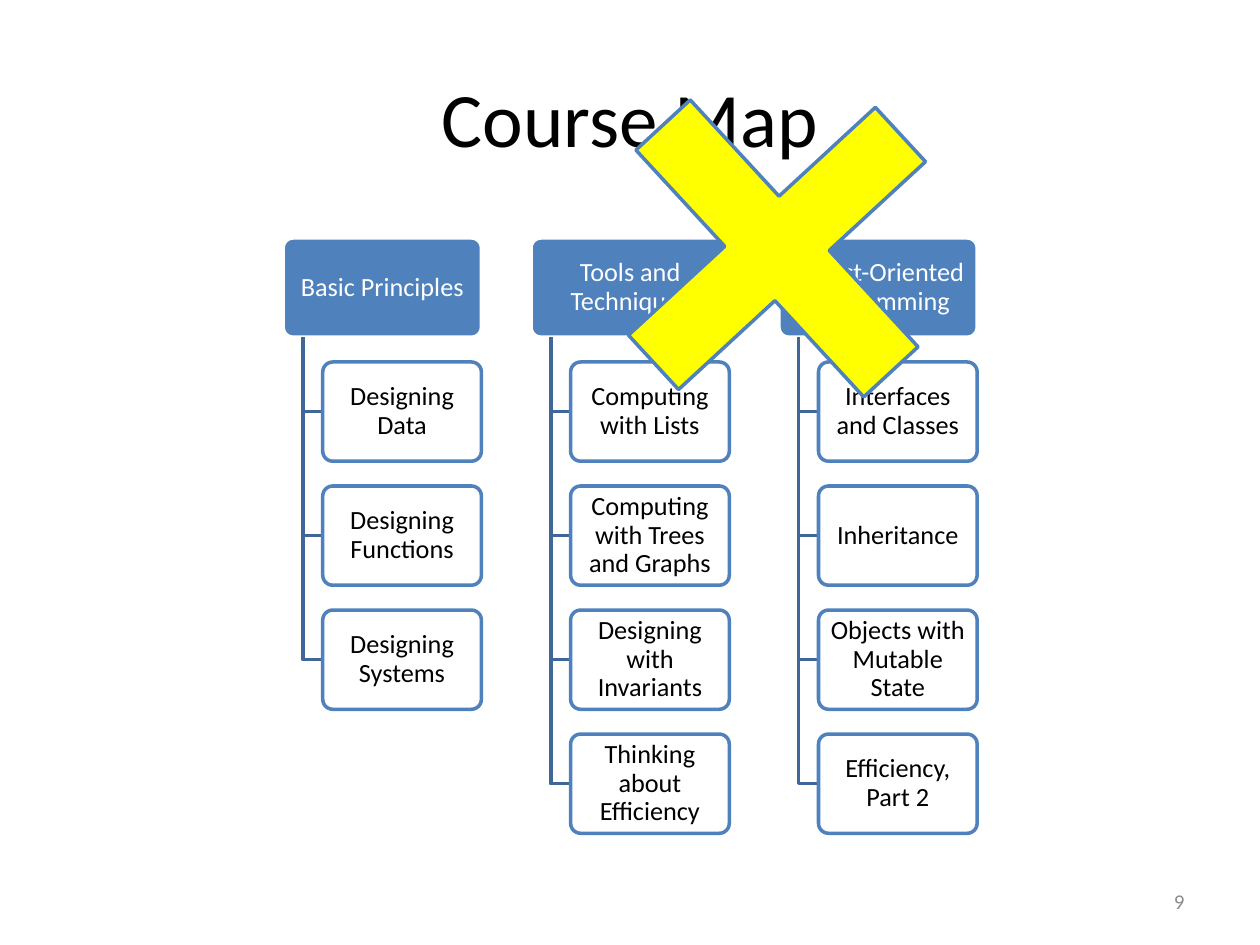
from lxml import etree
from pptx import Presentation
from pptx.dml.color import RGBColor
from pptx.enum.shapes import MSO_SHAPE
from pptx.enum.text import MSO_ANCHOR, PP_ALIGN
from pptx.oxml.ns import qn
from pptx.util import Pt

ROUNDED, CROSS = MSO_SHAPE.ROUNDED_RECTANGLE, MSO_SHAPE.CROSS
MIDDLE = MSO_ANCHOR.MIDDLE
CENTER, RIGHT = PP_ALIGN.CENTER, PP_ALIGN.RIGHT

COLORS = {"blue": "4F81BD", "dark_blue": "3F6797", "white": "FFFFFF",
          "black": "000000", "gray": "8C8C8C", "yellow": "FFFF00"}
FONT = "Calibri"
LINE_WIDTH = 2

COURSE = {
    "Basic Principles": ["Designing Data", "Designing Functions", "Designing Systems"],
    "Tools and Techniques": ["Computing with Lists", "Computing with Trees and Graphs",
                             "Designing with Invariants", "Thinking about Efficiency"],
    "Object-Oriented Programming": ["Interfaces and Classes", "Inheritance",
                                    "Objects with Mutable State", "Efficiency, Part 2"],
}


def rgb(name):
    return RGBColor.from_string(COLORS[name])


def points(box):
    return [Pt(value) for value in box]


def write(shape, text, size, color, align=CENTER, spacing=1.0, margins=(7.2, 3.6)):
    side, edge = points(margins)
    frame = shape.text_frame
    frame_format = {"word_wrap": True, "vertical_anchor": MIDDLE, "margin_left": side,
                    "margin_right": side, "margin_top": edge, "margin_bottom": edge}
    for name, value in frame_format.items():
        setattr(frame, name, value)
    para = frame.paragraphs[0]
    para.alignment = align
    para.line_spacing = spacing
    span = para.add_run()
    span.text = text
    for name, value in {"name": FONT, "size": Pt(size)}.items():
        setattr(span.font, name, value)
    span.font.color.rgb = rgb(color)


def add_label(page, box, text, size, color, align):
    write(page.shapes.add_textbox(*points(box)), text, size, color, align)


def outline(shape, color):
    shape.shadow.inherit = False
    shape.line.color.rgb = rgb(color)
    shape.line.width = Pt(LINE_WIDTH)


def add_filled(page, kind, box, adjustment, fill, line):
    shape = page.shapes.add_shape(kind, *points(box))
    shape.adjustments[0] = adjustment
    shape.fill.solid()
    shape.fill.fore_color.rgb = rgb(fill)
    outline(shape, line)
    return shape


def add_card(page, box, text, fill, line, color):
    card = add_filled(page, ROUNDED, box, 0.1, fill, line)
    write(card, text, 15, color, spacing=0.9, margins=(2.2, 1.5))
    return card


def add_elbow(page, left, top, right, bottom):
    left, top, right, bottom = points((left, top, right, bottom))
    builder = page.shapes.build_freeform(left, top)
    builder.add_line_segments([(left, bottom), (right, bottom)], close=False)
    elbow = builder.convert_to_shape()
    elbow.fill.background()
    outline(elbow, "dark_blue")


def add_branch(page, box, heading, topics):
    """One heading with its topics hung below it on elbow lines."""
    left, top, width, height = box
    stem = left + width * 0.1
    topic_left, topic_width = left + width * 0.2, width * 0.8
    pitch = height * 1.25
    add_card(page, box, heading, "blue", "white", "white")
    for row, topic in enumerate(topics, start=1):
        topic_top = top + row * pitch
        add_elbow(page, stem, top + height, topic_left, topic_top + height / 2)
        card = add_card(page, (topic_left, topic_top, topic_width, height),
                        topic, "white", "blue", "black")
        fill_color = card.fill._xPr.find(qn("a:solidFill"))[0]
        etree.SubElement(fill_color, qn("a:alpha"), val="90000")


def add_course_map(page, box):
    """Equal columns, each parted by a quarter of a heading's width."""
    left, top, width, height = box
    count = len(COURSE)
    column_width = width / (count + (count - 1) * 0.25)
    for column, (heading, topics) in enumerate(COURSE.items()):
        column_left = left + column * column_width * 1.25
        add_branch(page, (column_left, top, column_width, height), heading, topics)


def add_cross_mark(page, box):
    mark = add_filled(page, CROSS, box, 0.39, "yellow", "blue")
    mark.rotation = 47.3


def main():
    deck = Presentation()
    deck.slide_width, deck.slide_height = Pt(720), Pt(540)
    page = deck.slides.add_slide(deck.slide_layouts[6])
    # Title and page number
    add_label(page, (36, 21.6, 648, 90), "Course Map", 44, "black", CENTER)
    add_label(page, (516, 500.5, 168, 28.75), "9", 12, "gray", RIGHT)
    # Course tree, struck out by the cross
    add_course_map(page, (161.8, 136, 396.6, 56.7))
    add_cross_mark(page, (348, 46, 192, 192))
    deck.save("out.pptx")


if __name__ == "__main__":
    main()
